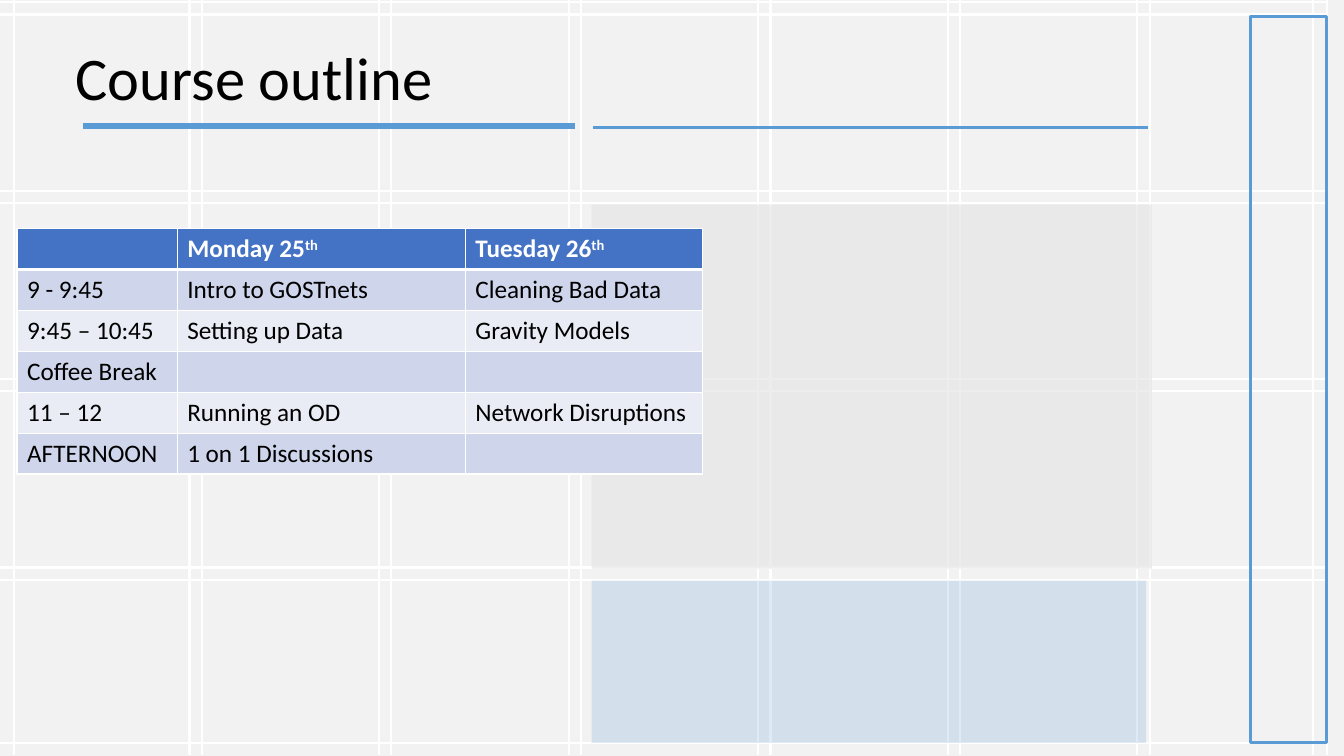
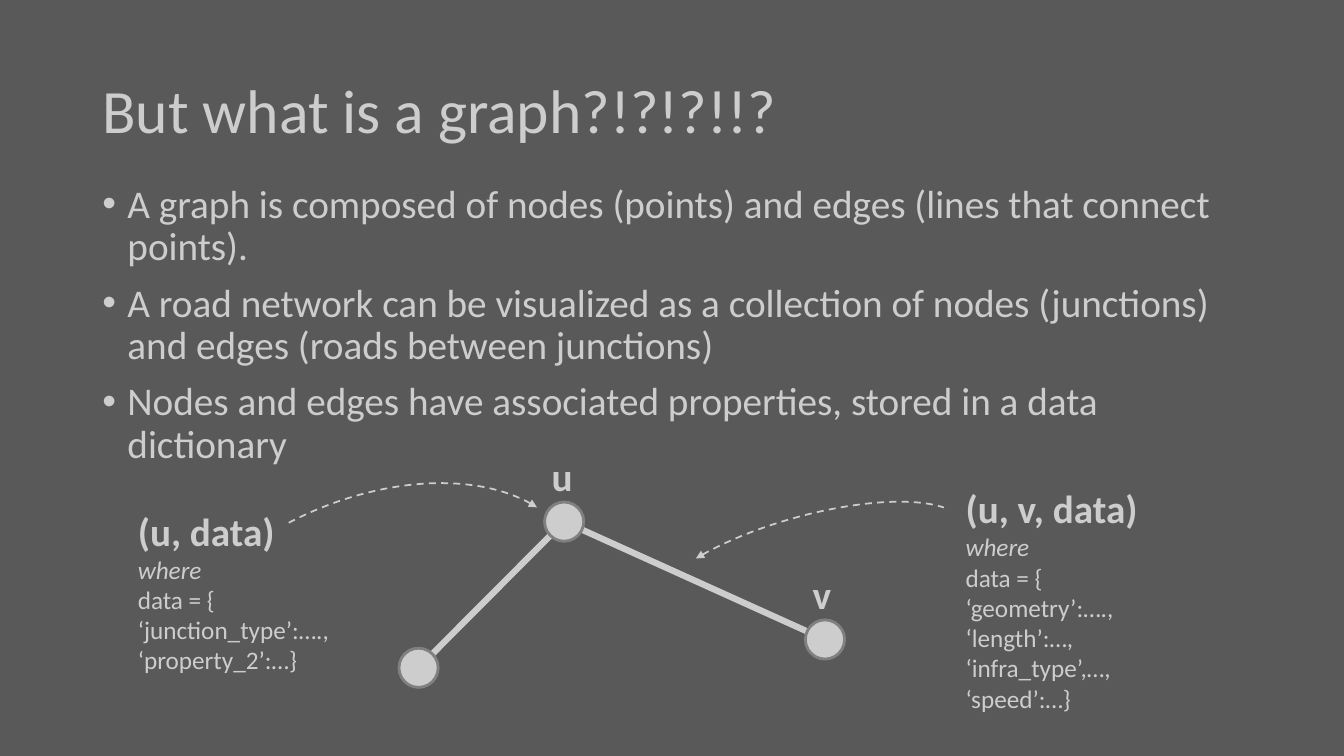
from lxml import etree
from pptx import Presentation
from pptx.dml.color import RGBColor
from pptx.enum import dml, shapes, text
from pptx.oxml import ns
from pptx.util import Pt

# Shared look
FONT = "Calibri"
COLORS = {
    "black": "000000", "white": "FFFFFF", "paper": "F2F2F2", "blue": "5B9BD5",
    "panel": "E7E6E6", "header": "4472C4", "band_dark": "CFD5EA",
    "band_light": "E9EBF5", "slate": "595959", "chalk": "CDCDCD", "rim": "808080",
}
WIDTH, HEIGHT = 960, 540

# Course outline content; a pair is a text and its superscript
OUTLINE_TITLE = "Course outline"
SCHEDULE = [
    ["", ("Monday 25", "th"), ("Tuesday 26", "th")],
    ["9 - 9:45", "Intro to GOSTnets", "Cleaning Bad Data"],
    ["9:45 – 10:45", "Setting up Data", "Gravity Models"],
    ["Coffee Break", "", ""],
    ["11 – 12", "Running an OD", "Network Disruptions"],
    ["AFTERNOON", "1 on 1 Discussions", ""],
]
COLUMN_WIDTHS = [114.4, 205.8, 169.2]
ROW_HEIGHT = 29.2

# Graph content
GRAPH_TITLE = "But what is a graph?!?!?!!?"
GRAPH_POINTS = [
    "A graph is composed of nodes (points) and edges (lines that connect points).",
    "A road network can be visualized as a collection of nodes (junctions) "
    "and edges (roads between junctions)",
    "Nodes and edges have associated properties, stored in a data dictionary",
]
NODES = {"start": (299, 477), "u": (403, 372.6), "v": (589.3, 456.8)}
EDGES = [("start", "u"), ("u", "v")]
NODE_SIZE = 28
NODE_LABELS = ["u", "v"]
DATA_NOTES = [
    ((682.6, 342.7, 145.4, 172), ["(u, v, data)", "where", "data = {", "‘geometry’:….,",
                                  "‘length’:…,", "‘infra_type’,…,", "‘speed’:…}"]),
    ((91.4, 358.6, 160, 128), ["(u, data)", "where", "data = {",
                               "‘junction_type’:….,", "‘property_2’:…}"]),
]
# Box, rotation, arc adjustments, mirrored
POINTERS = [
    ((461.5, 368.6, 231.8, 74.9), 344.4, (120.39, 210.85), False),
    ((102.2, 357.1, 321.1, 198.7), 336.5, (116.63, 169.3), True),
]


def rgb(name):
    return RGBColor.from_string(COLORS[name])


def points(values):
    return [Pt(value) for value in values]


def add_element(parent, tag, **attributes):
    return etree.SubElement(parent, ns.qn(tag), attributes)


def set_font(paragraph, size, color, bold=False, italic=False):
    font = paragraph.font
    font.name, font.size, font.bold, font.italic = FONT, Pt(size), bold, italic
    font.color.rgb = rgb(color)


def add_slide(presentation, background):
    slide = presentation.slides.add_slide(presentation.slide_layouts[5])
    slide.background.fill.solid()
    slide.background.fill.fore_color.rgb = rgb(background)
    return slide


def set_title(slide, title, box, size, color):
    shape = slide.shapes.title
    shape.left, shape.top, shape.width, shape.height = points(box)
    frame = shape.text_frame
    frame.text = title
    frame.word_wrap = True
    frame.auto_size = text.MSO_AUTO_SIZE.NONE
    frame.vertical_anchor = text.MSO_ANCHOR.MIDDLE
    paragraph = frame.paragraphs[0]
    paragraph.alignment = text.PP_ALIGN.LEFT
    paragraph.line_spacing = 0.9
    set_font(paragraph, size, color)
    slide.shapes.element.append(shape.element)  # in front of the grid


def add_line(slide, start, end, color, width):
    line = slide.shapes.add_connector(
        shapes.MSO_CONNECTOR.STRAIGHT, *points((*start, *end)))
    line.line.color.rgb = rgb(color)
    line.line.width = Pt(width)
    add_element(line.element.spPr, "a:effectLst")


def add_shape(slide, preset, box, fill=None, alpha=None, line=None, width=2):
    shape = slide.shapes.add_shape(preset, *points(box))
    shape.shadow.inherit = False
    if fill:
        shape.fill.solid()
        shape.fill.fore_color.rgb = rgb(fill)
    else:
        shape.fill.background()
    if alpha:
        color = shape.element.spPr.find(".//" + ns.qn("a:srgbClr"))
        add_element(color, "a:alpha", val=str(alpha * 1000))
    if line:
        shape.line.color.rgb = rgb(line)
        shape.line.width = Pt(width)
    else:
        shape.line.fill.background()
    return shape


def add_text(slide, box, lines):
    frame = slide.shapes.add_textbox(*points(box)).text_frame
    frame.word_wrap = True
    frame.text = "\n".join(lines)
    return frame.paragraphs


def add_grid(slide):
    gap = 8.8
    columns = [10, 938, 948]
    columns += [135.4 * step + offset for step in range(1, 7) for offset in (0, gap)]
    rows = [530.6]
    rows += [1.6 + 134.6 * step + offset for step in range(4) for offset in (0, gap)]
    for x in columns:
        add_line(slide, (x, 0), (x, 539), "white", 1.5)
    for y in rows:
        add_line(slide, (0, y), (948, y), "white", 1.5)


def style_cell(cell, content, row):
    header = row == 0
    band = "band_dark" if row % 2 else "band_light"
    cell.fill.solid()
    cell.fill.fore_color.rgb = rgb("header" if header else band)
    paragraph = cell.text_frame.paragraphs[0]
    main, superscript = content if isinstance(content, tuple) else (content, "")
    if main:
        paragraph.add_run().text = main
    if superscript:
        run = paragraph.add_run()
        run.text = superscript
        run.font._element.set("baseline", "30000")
    set_font(paragraph, 18, "white" if header else "black", bold=header)
    # Borders go ahead of the fill
    properties = cell._tc.get_or_add_tcPr()
    for index, side in enumerate(("lnL", "lnR", "lnT", "lnB")):
        thick = (header and side == "lnB") or (row == 1 and side == "lnT")
        border = add_element(properties, "a:" + side, w=str(Pt(3 if thick else 1)))
        solid = add_element(border, "a:solidFill")
        add_element(solid, "a:srgbClr", val=COLORS["white"])
        properties.insert(index, border)


def add_schedule(slide):
    box = (12.2, 163.4, sum(COLUMN_WIDTHS), ROW_HEIGHT * len(SCHEDULE))
    table = slide.shapes.add_table(
        len(SCHEDULE), len(COLUMN_WIDTHS), *points(box)).table
    for column, width in zip(table.columns, COLUMN_WIDTHS):
        column.width = Pt(width)
    for row, contents in enumerate(SCHEDULE):
        table.rows[row].height = Pt(ROW_HEIGHT)
        for column, content in enumerate(contents):
            style_cell(table.cell(row, column), content, row)


def build_outline(presentation):
    slide = add_slide(presentation, "paper")
    rectangle = shapes.MSO_SHAPE.RECTANGLE
    add_grid(slide)
    set_title(slide, OUTLINE_TITLE, (46.8, 31.7, 359.3, 52.6), 43.2, "black")
    add_line(slide, (59.3, 90), (410.7, 90), "blue", 4)
    add_shape(slide, rectangle, (422.6, 146.2, 400.3, 260), "panel", 70)
    add_line(slide, (423.8, 91), (820, 91), "blue", 2)
    add_shape(slide, rectangle, (893.3, 11.5, 54.4, 518.7), line="blue")
    add_shape(slide, rectangle, (422.6, 414.7, 396, 116), "blue", 20)
    add_schedule(slide)


def add_bullets(slide):
    paragraphs = add_text(slide, (66, 128.2, 828, 342.7), GRAPH_POINTS)
    for index, paragraph in enumerate(paragraphs):
        properties = paragraph._p.get_or_add_pPr()
        properties.set("marL", str(Pt(18)))
        properties.set("indent", str(Pt(-18)))
        add_element(properties, "a:buFont", typeface="Arial")
        add_element(properties, "a:buChar", char="•")
        paragraph.line_spacing = 0.9
        if index:
            paragraph.space_before = Pt(10)
        set_font(paragraph, 28, "chalk")


def add_network(slide):
    for start, end in EDGES:
        add_line(slide, NODES[start], NODES[end], "chalk", 4.5)
    for x, y in NODES.values():
        corner = (x - NODE_SIZE / 2, y - NODE_SIZE / 2)
        add_shape(slide, shapes.MSO_SHAPE.OVAL, (*corner, NODE_SIZE, NODE_SIZE),
                  "chalk", line="rim")
    for name in NODE_LABELS:
        x, y = NODES[name]
        label = add_text(slide, (x - 16, y - 53.3, 145.4, 41), [name])[0]
        set_font(label, 28, "chalk", bold=True)


def add_pointer(slide, box, rotation, adjustments, mirrored):
    arc = add_shape(slide, shapes.MSO_SHAPE.ARC, box, line="chalk", width=1.25)
    arc.rotation = rotation
    for index, value in enumerate(adjustments):
        arc.adjustments[index] = value
    if mirrored:
        arc.element.spPr.xfrm.set("flipH", "1")
    arc.line.dash_style = dml.MSO_LINE.DASH
    add_element(arc.element.spPr.find(ns.qn("a:ln")), "a:headEnd", type="triangle")


def build_graph(presentation):
    slide = add_slide(presentation, "slate")
    set_title(slide, GRAPH_TITLE, (66, 28.8, 828, 104.4), 44, "chalk")
    add_bullets(slide)
    add_network(slide)
    for box, lines in DATA_NOTES:
        for index, paragraph in enumerate(add_text(slide, box, lines)):
            set_font(paragraph, 18 if index else 28, "chalk",
                     bold=index == 0, italic=index == 1)
    for pointer in POINTERS:
        add_pointer(slide, *pointer)


def main():
    presentation = Presentation()
    presentation.slide_width, presentation.slide_height = Pt(WIDTH), Pt(HEIGHT)
    build_outline(presentation)
    build_graph(presentation)
    presentation.save("out.pptx")


if __name__ == "__main__":
    main()
